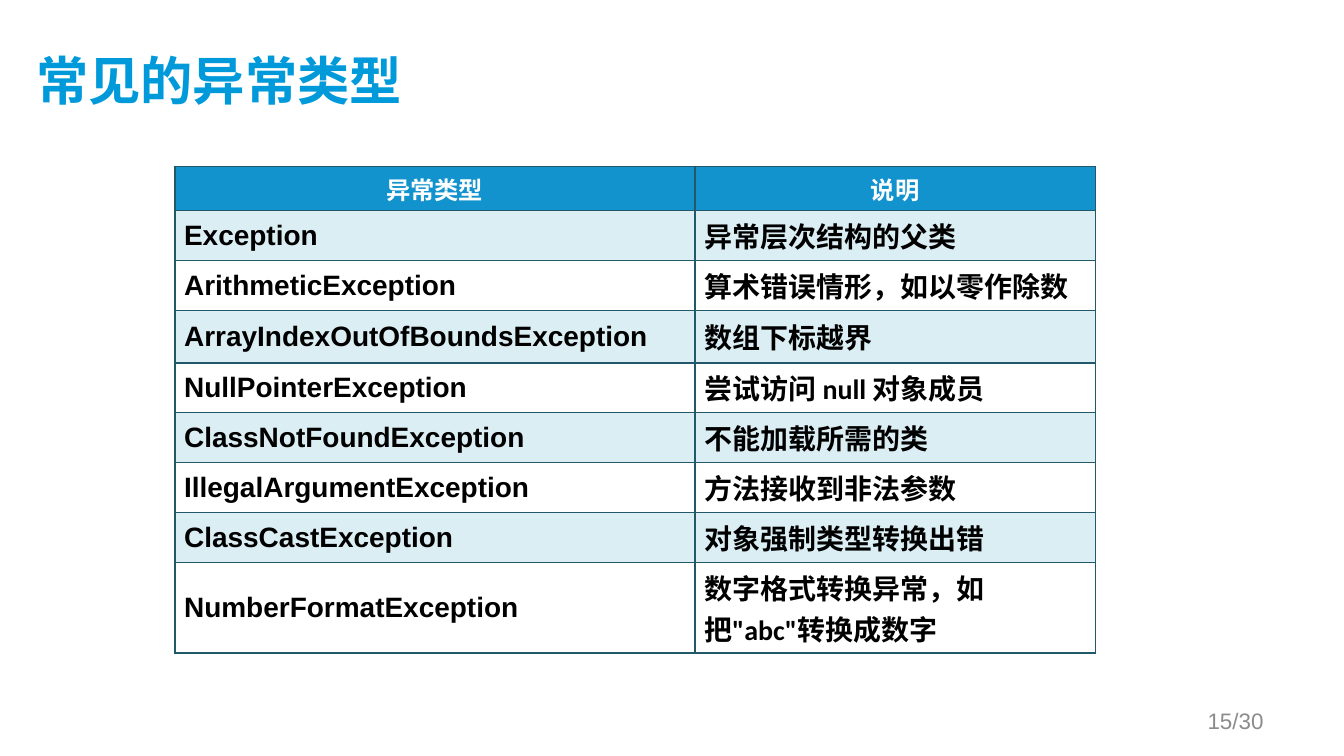
from lxml.etree import SubElement
from pptx import Presentation
from pptx.dml.color import RGBColor
from pptx.enum.text import MSO_ANCHOR as Anchor, PP_ALIGN as Align
from pptx.oxml.ns import qn
from pptx.util import Inches, Pt

WIDTH = 10
HEIGHT = WIDTH * 9 / 16
CJK_FONT = "Noto Sans CJK SC"
BLUE, PALE, BORDER = "1293CD", "DBEEF4", "215968"
COLUMNS = (3.87, 2.98)
ROWS = (0.31, 0.33, 0.35, 0.39, *[0.33] * 4, 0.65)
HEADINGS = ("异常类型", "说明")
EXCEPTIONS = (
    ("Exception", "异常层次结构的父类"),
    ("ArithmeticException", "算术错误情形，如以零作除数"),
    ("ArrayIndexOutOfBoundsException", "数组下标越界"),
    ("NullPointerException", "尝试访问 null 对象成员"),
    ("ClassNotFoundException", "不能加载所需的类"),
    ("IllegalArgumentException", "方法接收到非法参数"),
    ("ClassCastException", "对象强制类型转换出错"),
    ("NumberFormatException", "数字格式转换异常，如把\"abc\"转换成数字"),
)


def colour(value):
    """Return the colour for a hex string."""
    return RGBColor.from_string(value)


def write(frame, text, size, font=CJK_FONT, ink="000000", bold=True, align=Align.LEFT):
    """Write one formatted paragraph into a text frame."""
    frame.word_wrap = True
    para = frame.paragraphs[0]
    para.alignment = align
    span = para.add_run()
    span.text = text
    span.font.size, span.font.name, span.font.bold = Pt(size), font, bold
    span.font.color.rgb = colour(ink)
    SubElement(span.font._element, qn("a:ea"), typeface=CJK_FONT)


def set_margins(holder, left, top, right, bottom):
    """Set the inner margins of a cell or text frame in inches."""
    holder.margin_left, holder.margin_top = Inches(left), Inches(top)
    holder.margin_right, holder.margin_bottom = Inches(right), Inches(bottom)


def add_text(page, box, text, margins=(0.1, 0.05, 0.1, 0.05), **style):
    """Add a vertically centred text box."""
    frame = page.shapes.add_textbox(*map(Inches, box)).text_frame
    set_margins(frame, *margins)
    frame.vertical_anchor = Anchor.MIDDLE
    write(frame, text, **style)


def style_cell(cell, fill):
    """Give a cell its margins, borders and fill."""
    set_margins(cell, 0.07, 0.07 / 2, 0.07, 0.07 / 2)
    cell.vertical_anchor = Anchor.MIDDLE
    props = cell._tc.get_or_add_tcPr()
    for side in ("lnL", "lnR", "lnT", "lnB"):
        line = SubElement(props, qn(f"a:{side}"), w=str(int(Pt(1))))
        solid = SubElement(line, qn("a:solidFill"))
        SubElement(solid, qn("a:srgbClr"), val=BORDER)
    if fill:
        cell.fill.solid()
        cell.fill.fore_color.rgb = colour(fill)
    else:
        cell.fill.background()


def add_exception_table(page, left, top):
    """Add the table of exception types with alternating row fills."""
    box = (left, top, sum(COLUMNS), sum(ROWS))
    table = page.shapes.add_table(len(ROWS), len(COLUMNS), *map(Inches, box)).table
    table.horz_banding = False
    for column, width in zip(table.columns, COLUMNS):
        column.width = Inches(width)
    for row, height in zip(table.rows, ROWS):
        row.height = Inches(height)
    for r, texts in enumerate((HEADINGS, *EXCEPTIONS)):
        for c, text in enumerate(texts):
            cell = table.cell(r, c)
            if r == 0:
                style_cell(cell, BLUE)
                write(cell.text_frame, text, 13, ink="FFFFFF", align=Align.CENTER)
            else:
                style_cell(cell, PALE if r % 2 else None)
                write(cell.text_frame, text, 15, font=("Arial", "Calibri")[c])


def main():
    """Build the slide and save it."""
    deck = Presentation()
    deck.slide_width, deck.slide_height = Inches(WIDTH), Inches(HEIGHT)
    page = deck.slides.add_slide(deck.slide_layouts[6])
    add_exception_table(page, WIDTH * 0.13, HEIGHT * 0.22)
    add_text(page, (0.27, 0.23, 8.95, 0.77), "常见的异常类型",
             margins=(0, 0, 0.1, 0.05), size=28, ink="009ADA")
    add_text(page, (7.17, 5.21, 2.33, 0.3), "15/30", size=12, font="Arial",
             ink="8C8C8C", bold=False, align=Align.RIGHT)
    deck.save("out.pptx")


if __name__ == "__main__":
    main()
